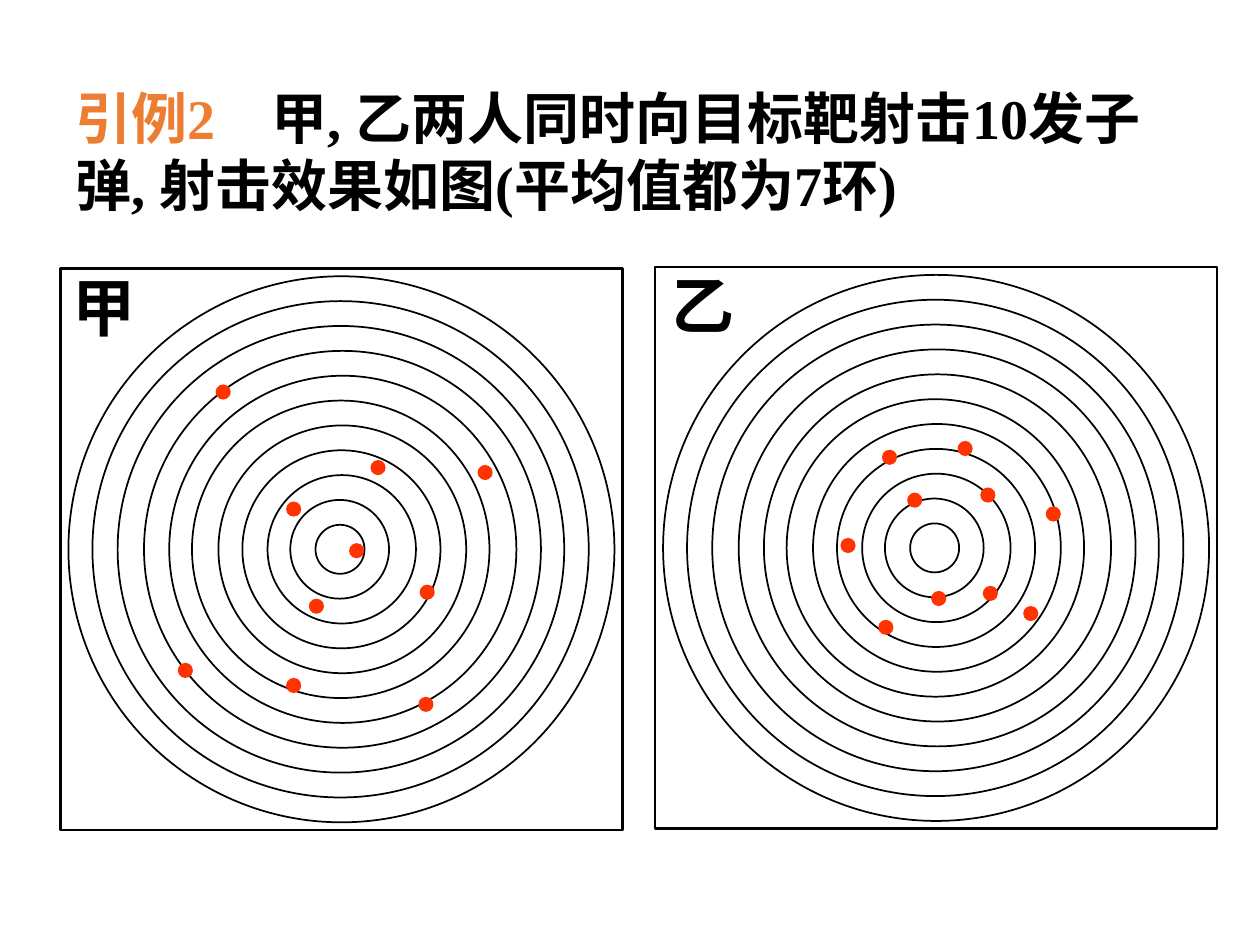
import dataclasses

import pptx
import pptx.dml.color
import pptx.enum.shapes
import pptx.enum.text
import pptx.oxml.ns
import pptx.util
from lxml import etree

Pt = pptx.util.Pt
SHAPE = pptx.enum.shapes.MSO_SHAPE
ANCHOR = pptx.enum.text.MSO_ANCHOR


@dataclasses.dataclass(frozen=True)
class Theme:
    ink: str = "000000"
    accent: str = "ED7D31"
    shot: str = "FF3300"
    font: str = "Times New Roman"
    question_size: float = 32
    name_size: float = 36
    ring_line: float = 1
    frame_line: float = 1.5


THEME = Theme()
TARGET_SIDE = 321
OUTER_DIAMETER = 312
RING_STEP = 28.4
RING_DRIFT = (0, -0.5, -0.3, 0.6, 0.8, -0.4, 0.5, 0, 0.2, -1, -0.8)
SHOT_DIAMETER = 8.64

SHOTS_JIA = (
    (169.2, 161.3), (146.2, 193), (209.5, 185), (133.2, 137.5), (181.4, 113.8),
    (242.6, 116.6), (133.2, 238.3), (71.3, 229.7), (208.8, 249.1), (92.9, 70.6),
)
SHOTS_YI = (
    (214.6, 198), (162, 189.4), (148.3, 133.2), (190.1, 130.3), (191.5, 186.5),
    (131.8, 205.9), (110.2, 159.1), (133.9, 108.7), (177.1, 103.7), (227.5, 141.1),
)


def rgb(value):
    return pptx.dml.color.RGBColor.from_string(value)


def add_text(slide, box, runs, size, anchor=ANCHOR.TOP, wrap=True, tab_at=None):
    frame = slide.shapes.add_textbox(*map(Pt, box)).text_frame
    frame.word_wrap = wrap
    frame.vertical_anchor = anchor
    paragraph = frame.paragraphs[0]
    if tab_at is not None:
        qn = pptx.oxml.ns.qn
        properties = paragraph._p.get_or_add_pPr()
        tabs = etree.SubElement(properties, qn("a:tabLst"))
        etree.SubElement(tabs, qn("a:tab"), pos=str(Pt(tab_at)), algn="l")
    for wording, color in runs:
        run = paragraph.add_run()
        run.text = wording
        run.font.name = THEME.font
        run.font.size = Pt(size)
        run.font.bold = True
        run.font.color.rgb = rgb(color)


def add_outline(slide, kind, box, line=None, fill=None):
    shape = slide.shapes.add_shape(kind, *map(Pt, box))
    shape.shadow.inherit = False
    if fill:
        shape.fill.solid()
        shape.fill.fore_color.rgb = rgb(fill)
    else:
        shape.fill.background()
    if line:
        shape.line.color.rgb = rgb(THEME.ink)
        shape.line.width = Pt(line)
    else:
        shape.line.fill.background()


def add_circle(slide, center_x, center_y, diameter, **style):
    box = (center_x - diameter / 2, center_y - diameter / 2, diameter, diameter)
    add_outline(slide, SHAPE.OVAL, box, **style)


def add_question(slide, box):
    runs = (
        ("引例2\t", THEME.accent),
        ("甲, 乙两人同时向目标靶射击10发子弹, 射击效果如图(平均值都为7环)", THEME.ink),
    )
    add_text(slide, box, runs, THEME.question_size, anchor=ANCHOR.MIDDLE, tab_at=112)


def add_target(slide, box, shooter, shots, name_indent=0):
    left, top, side, _ = box
    for ring, drift in enumerate(RING_DRIFT):
        add_circle(slide, left + side / 2 + drift, top + side / 2,
                   OUTER_DIAMETER - RING_STEP * ring, line=THEME.ring_line)
    add_outline(slide, SHAPE.RECTANGLE, box, line=THEME.frame_line)
    for shot_x, shot_y in shots:
        add_circle(slide, left + shot_x, top + shot_y, SHOT_DIAMETER, fill=THEME.shot)
    add_text(slide, (left + name_indent, top - 3.6, 72, 50.4),
             ((shooter, THEME.ink),), THEME.name_size)


def main():
    deck = pptx.Presentation()
    deck.slide_width, deck.slide_height = Pt(720), Pt(540)
    slide = deck.slides.add_slide(deck.slide_layouts[6])
    add_question(slide, (36, 38.2, 648, 95.8))
    add_target(slide, (34.6, 153.4, TARGET_SIDE, TARGET_SIDE), "甲", SHOTS_JIA)
    add_target(slide, (374.4, 152.6, TARGET_SIDE, TARGET_SIDE), "乙", SHOTS_YI,
               name_indent=2.2)
    deck.save("out.pptx")


if __name__ == "__main__":
    main()
